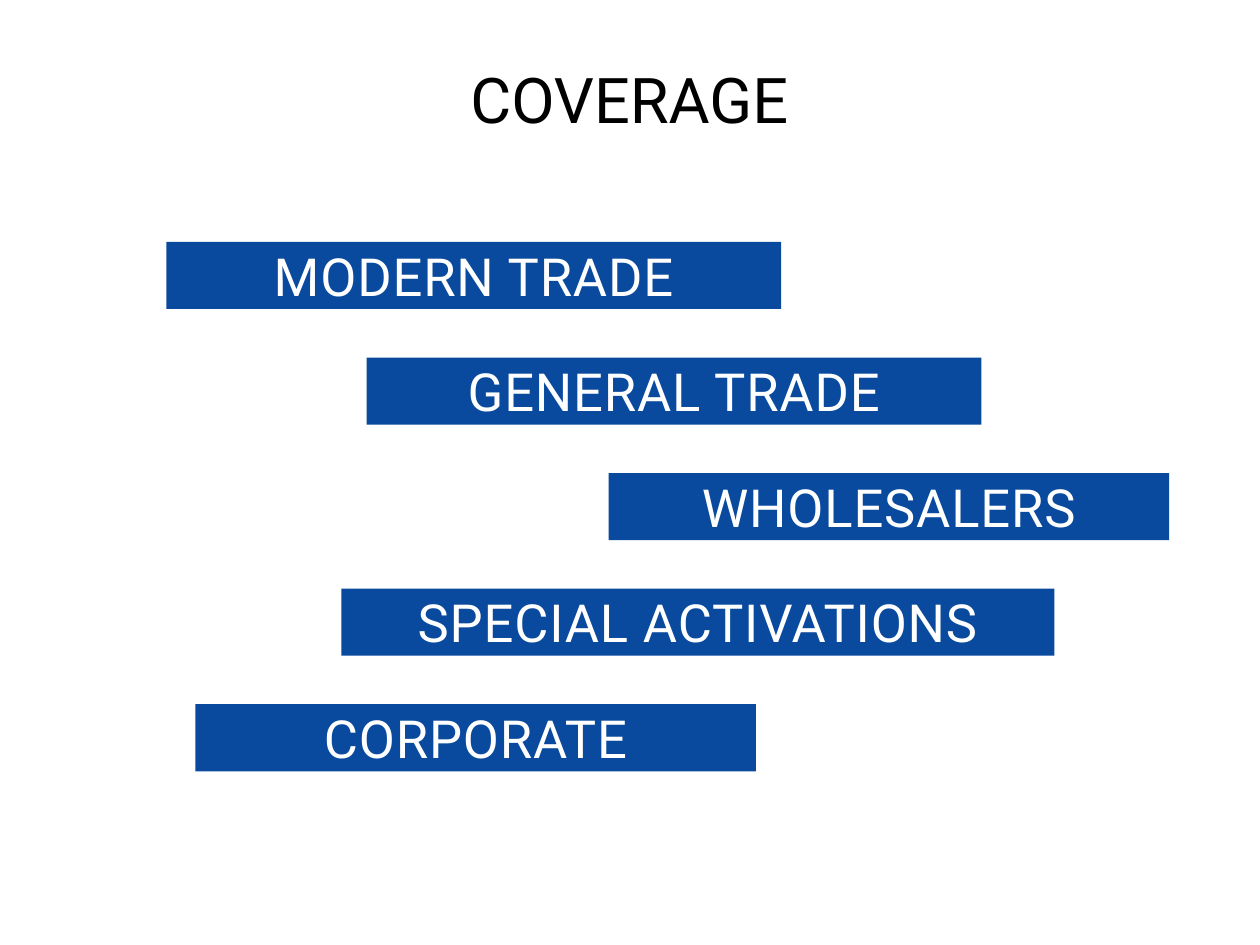
"""Build the coverage slide: a title above five staggered channel bars."""
from dataclasses import dataclass

from pptx import Presentation
from pptx.dml.color import RGBColor
from pptx.enum import shapes, text
from pptx.util import Emu, Inches, Pt

WIDTH, HEIGHT = Inches(10), Inches(7.5)
FONT = "Roboto"
BLUE, WHITE, BLACK = "094A9E", "FFFFFF", "000000"
FIRST_TOP, ROW_PITCH = 25.6, 12.23
BAR_HEIGHT, LABEL_DROP, LABEL_HEIGHT = 7.1, 2.3, 5.2


@dataclass(frozen=True)
class Channel:
    """A sales channel; left and width are percentages of the slide width."""
    name: str
    row: int
    left: float
    width: float


CHANNELS = (
    Channel("MODERN TRADE", 0, 13.2, 48.8),
    Channel("GENERAL TRADE", 1, 29.1, 48.8),
    Channel("WHOLESALERS", 2, 48.3, 44.5),
    Channel("SPECIAL ACTIVATIONS", 3, 27.1, 56.6),
    Channel("CORPORATE", 4, 15.5, 44.5),
)


def color(value: str) -> RGBColor:
    """Turn a hex string into a colour."""
    return RGBColor.from_string(value)


def area(left: float, top: float, width: float, height: float) -> tuple[Emu, ...]:
    """Turn percentages of the slide into lengths."""
    shares = ((left, WIDTH), (top, HEIGHT), (width, WIDTH), (height, HEIGHT))
    return tuple(Emu(round(share * side / 100)) for share, side in shares)


def add_text(page, place: tuple[Emu, ...], words: str, size: int, ink: str):
    """Add a centred line of text and return its box."""
    box = page.shapes.add_textbox(*place)
    box.text_frame.text = words
    para = box.text_frame.paragraphs[0]
    para.alignment = text.PP_ALIGN.CENTER
    span = para.runs[0]
    span.font.name = FONT
    span.font.size = Pt(size)
    span.font.color.rgb = color(ink)
    return box


def add_title(page, words: str) -> None:
    """Add the slide title."""
    box = add_text(page, area(35.3, 5.73, 29.3, 9.47), words, 36, BLACK)
    box.text_frame.word_wrap = False
    box.text_frame.auto_size = text.MSO_AUTO_SIZE.SHAPE_TO_FIT_TEXT


def add_channel(page, channel: Channel) -> None:
    """Add a channel's bar and its letter-spaced label."""
    top = FIRST_TOP + channel.row * ROW_PITCH
    bar = page.shapes.add_shape(
        shapes.MSO_SHAPE.RECTANGLE,
        *area(channel.left, top, channel.width, BAR_HEIGHT))
    bar.shadow.inherit = False
    bar.fill.solid()
    bar.fill.fore_color.rgb = color(BLUE)
    bar.line.fill.background()
    place = area(channel.left, top + LABEL_DROP, channel.width, LABEL_HEIGHT)
    label = add_text(page, place, channel.name, 30, WHITE)
    frame = label.text_frame
    frame.word_wrap = True
    frame.vertical_anchor = text.MSO_ANCHOR.BOTTOM
    frame.paragraphs[0].runs[0]._r.get_or_add_rPr().set("spc", "50")


def main() -> None:
    """Build and save the deck."""
    deck = Presentation()
    deck.slide_width, deck.slide_height = WIDTH, HEIGHT
    page = deck.slides.add_slide(deck.slide_layouts[6])
    page.background.fill.solid()
    page.background.fill.fore_color.rgb = color(WHITE)
    add_title(page, "COVERAGE")
    for channel in CHANNELS:
        add_channel(page, channel)
    deck.save("out.pptx")


if __name__ == "__main__":
    main()
